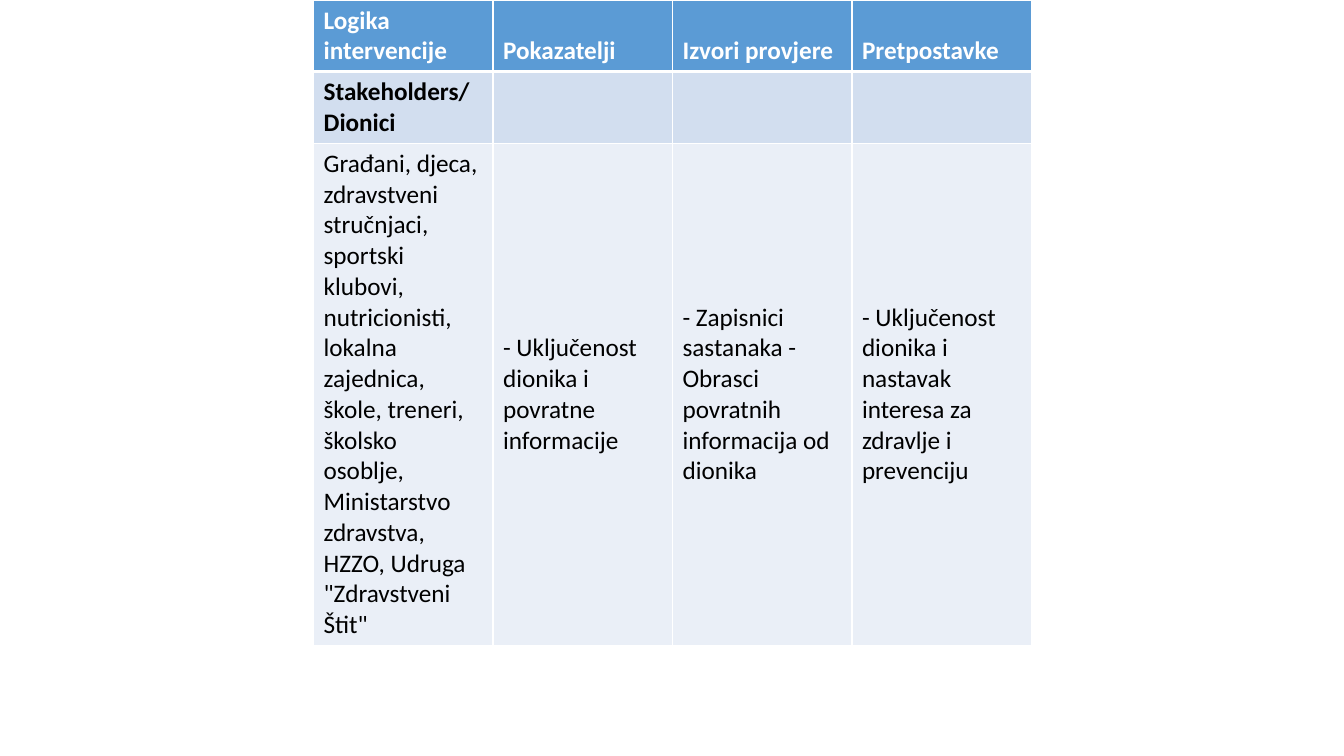
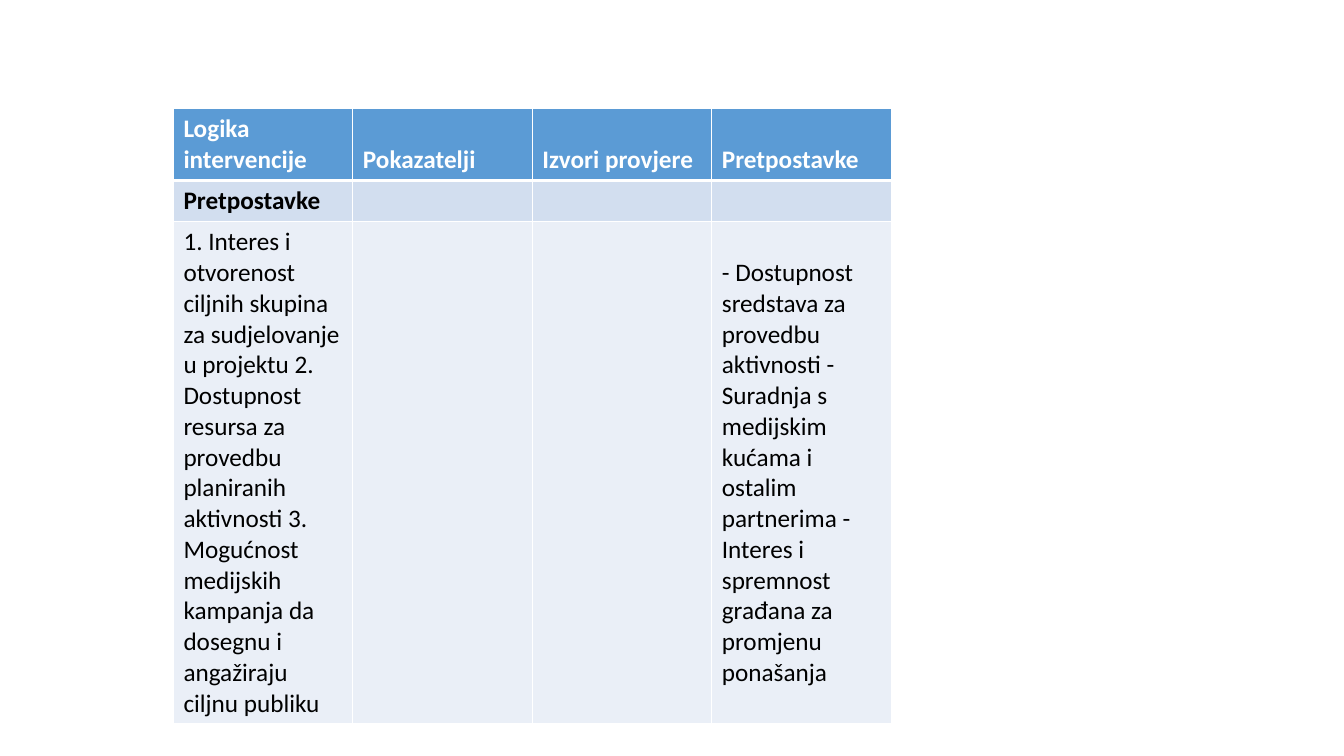
from lxml import etree
from pptx import Presentation
from pptx import util as u
from pptx.dml.color import RGBColor
from pptx.enum import text
from pptx.oxml import ns

COLORS = {
    "header": "5B9BD5",
    "section": "D2DEEF",
    "detail": "EAEFF7",
    "border": "FFFFFF",
    "light": "FFFFFF",
    "dark": "000000",
}
HEADINGS = ["Logika intervencije", "Pokazatelji", "Izvori provjere", "Pretpostavke"]


class LogframeDeck:
    font = "Calibri"
    size = 18
    column_width = 1.78
    row_height = 0.41
    row_fills = ["header", "section", "detail"]

    def __init__(self):
        self.deck = Presentation()
        self.deck.slide_width = u.Inches(13.33)
        self.deck.slide_height = u.Inches(7.5)
        self.slide = None

    def add_slide(self):
        self.slide = self.deck.slides.add_slide(self.deck.slide_layouts[6])

    def add_borders(self, cell, row):
        properties = cell._tc.get_or_add_tcPr()
        heavy_side = {0: "lnB", 1: "lnT"}.get(row)
        for side in ("lnL", "lnR", "lnT", "lnB"):
            width = u.Pt(3 if side == heavy_side else 1)
            line = etree.SubElement(properties, ns.qn(f"a:{side}"), w=str(width))
            fill = etree.SubElement(line, ns.qn("a:solidFill"))
            etree.SubElement(fill, ns.qn("a:srgbClr"), val=COLORS["border"])

    def style_cell(self, cell, row, content):
        self.add_borders(cell, row)
        cell.fill.solid()
        cell.fill.fore_color.rgb = RGBColor.from_string(COLORS[self.row_fills[row]])
        anchors = text.MSO_ANCHOR
        cell.vertical_anchor = anchors.BOTTOM if row == 0 else anchors.MIDDLE
        para = cell.text_frame.paragraphs[0]
        para.text = content
        para.font.size = u.Pt(self.size)
        for span in para.runs:
            span.font.name = self.font
            span.font.size = u.Pt(self.size)
            span.font.bold = row < 2
            color = COLORS["light" if row == 0 else "dark"]
            span.font.color.rgb = RGBColor.from_string(color)

    def add_logframe(self, left, top, height, section, details):
        rows = [HEADINGS, [section, "", "", ""], details]
        columns = len(HEADINGS)
        frame = self.slide.shapes.add_table(
            len(rows), columns, u.Inches(left), u.Inches(top),
            u.Inches(columns * self.column_width), u.Inches(height))
        table = frame.table
        for column in table.columns:
            column.width = u.Inches(self.column_width)
        for row, contents in enumerate(rows):
            table.rows[row].height = u.Inches(self.row_height)
            for column, content in enumerate(contents):
                self.style_cell(table.cell(row, column), row, content)
        frame.height = u.Inches(height)


def main():
    logframe = LogframeDeck()

    logframe.add_slide()
    logframe.add_logframe(3.11, 0, 6.3, "Stakeholders/Dionici", [
        "Građani, djeca, zdravstveni stručnjaci, sportski klubovi, "
        "nutricionisti, lokalna zajednica, škole, treneri, školsko osoblje, "
        'Ministarstvo zdravstva, HZZO, Udruga "Zdravstveni Štit"',
        "- Uključenost dionika i povratne informacije",
        "- Zapisnici sastanaka - Obrasci povratnih informacija od dionika",
        "- Uključenost dionika i nastavak interesa za zdravlje i prevenciju",
    ])

    logframe.add_slide()
    logframe.add_logframe(1.72, 1.08, 6.01, "Pretpostavke", [
        "1. Interes i otvorenost ciljnih skupina za sudjelovanje u projektu "
        "2. Dostupnost resursa za provedbu planiranih aktivnosti "
        "3. Mogućnost medijskih kampanja da dosegnu i angažiraju ciljnu publiku",
        "",
        "",
        "- Dostupnost sredstava za provedbu aktivnosti "
        "- Suradnja s medijskim kućama i ostalim partnerima "
        "- Interes i spremnost građana za promjenu ponašanja",
    ])

    logframe.deck.save("out.pptx")


if __name__ == "__main__":
    main()
